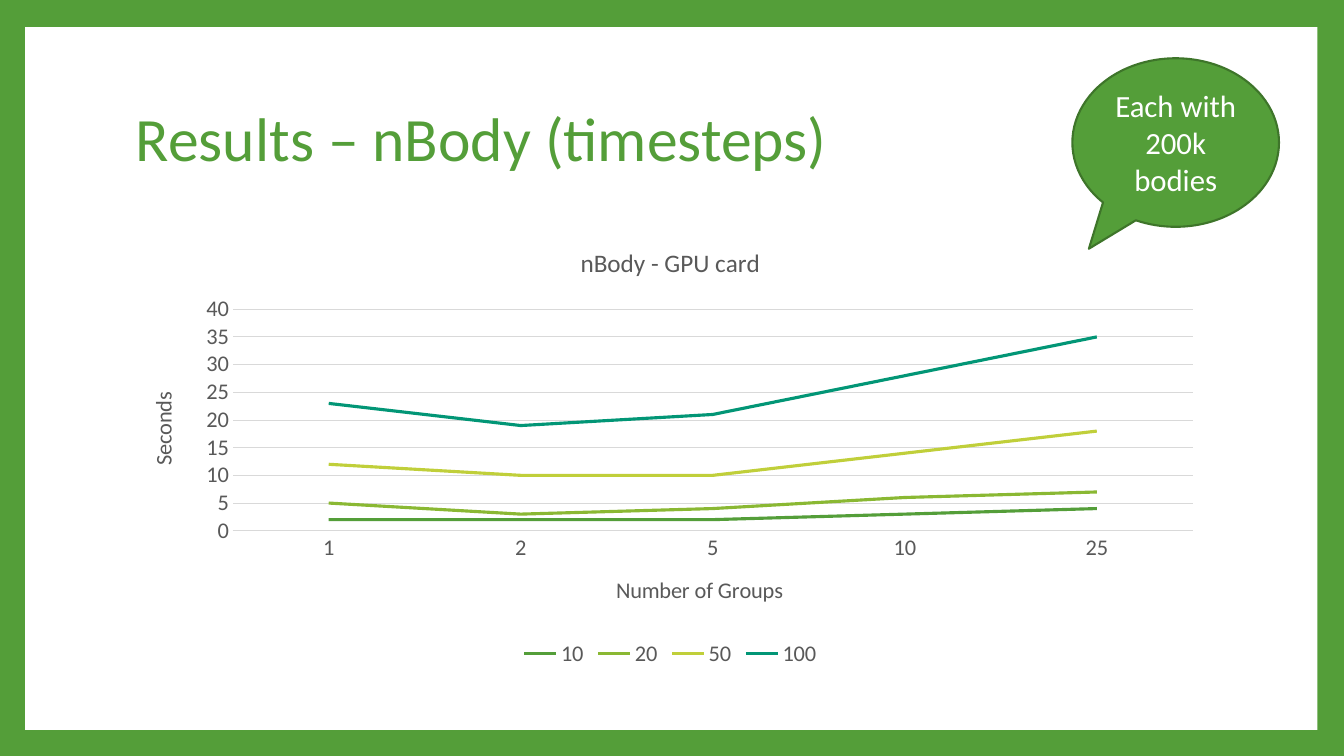
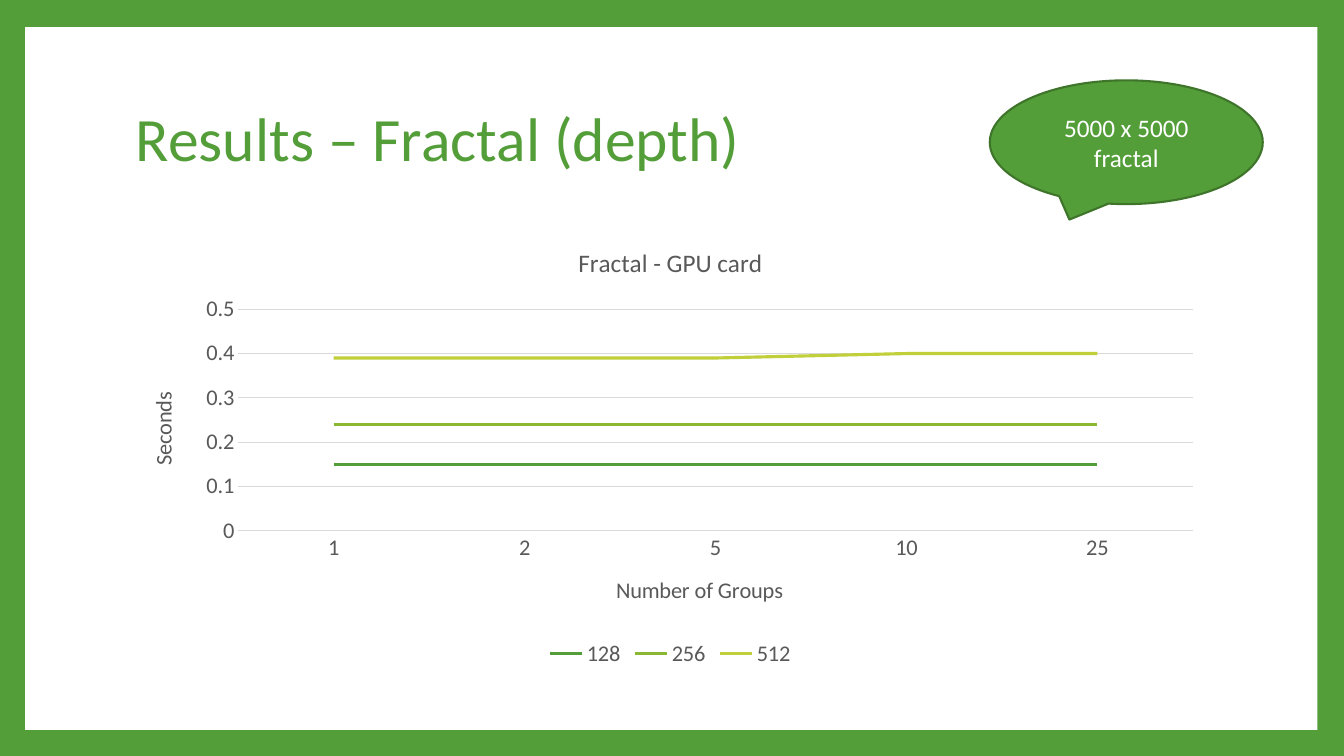
from dataclasses import dataclass
from typing import Any, Optional

from pptx import Presentation
from pptx.chart.data import CategoryChartData
from pptx.dml.color import RGBColor
from pptx.enum.chart import XL_CHART_TYPE, XL_LEGEND_POSITION, XL_TICK_MARK
from pptx.enum.shapes import MSO_SHAPE
from pptx.enum.text import MSO_ANCHOR, PP_ALIGN
from pptx.util import Pt

GREEN = "549E39"
DARK_GREEN = "3E752A"
WHITE = "FFFFFF"
GREY = "595959"
GRID = "D9D9D9"
SERIES_COLOURS = (GREEN, "8AB833", "C0CF3A", "029676")
FONT = "Calibri"
GROUPS = ("1", "2", "5", "10", "25")


@dataclass(frozen=True)
class Area:
    left: float
    top: float
    width: float
    height: float

    def lengths(self) -> tuple:
        return Pt(self.left), Pt(self.top), Pt(self.width), Pt(self.height)


@dataclass(frozen=True)
class Callout:
    text: str
    size: float
    area: Area
    tail: Optional[tuple] = None


@dataclass(frozen=True)
class Result:
    title: str
    chart_title: str
    maximum: float
    step: float
    series: dict
    callout: Callout


PANEL = Area(18, 19.4, 923, 502)
TITLE = Area(90, 48, 777.6, 106.6)
CHART = Area(90, 162, 777.6, 318)

RESULTS = (
    Result(
        "Results – nBody (timesteps)", "nBody - GPU card", 40, 5,
        {
            "10": (2, 2, 2, 3, 4),
            "20": (5, 3, 4, 6, 7),
            "50": (12, 10, 10, 14, 18),
            "100": (23, 19, 21, 28, 35),
        },
        Callout("Each with 200k bodies", 22, Area(766, 41.6, 147.6, 120.4), (-0.42, 0.63)),
    ),
    Result(
        "Results – Fractal (depth)", "Fractal - GPU card", 0.5, 0.1,
        {
            "128": (0.15, 0.15, 0.15, 0.15, 0.15),
            "256": (0.24, 0.24, 0.24, 0.24, 0.24),
            "512": (0.39, 0.39, 0.39, 0.4, 0.4),
        },
        Callout("5000 x 5000 fractal", 18, Area(707, 57.4, 195, 88.4)),
    ),
)


def colour(value: str) -> RGBColor:
    return RGBColor.from_string(value)


def apply(target: Any, values: dict) -> None:
    for name, value in values.items():
        setattr(target, name, value)


def style_font(font: Any, size: float, shade: str) -> None:
    apply(font, {"name": FONT, "size": Pt(size), "bold": False})
    font.color.rgb = colour(shade)


def style_line(line: Any, width: float, shade: str) -> None:
    line.width = Pt(width)
    line.color.rgb = colour(shade)


def write(box: Any, text: str, size: float, shade: str, layout: dict) -> None:
    apply(box.text_frame, {"word_wrap": True, "vertical_anchor": MSO_ANCHOR.MIDDLE})
    para = box.text_frame.paragraphs[0]
    apply(para, layout)
    span = para.add_run()
    span.text = text
    style_font(span.font, size, shade)


def add_filled(page: Any, kind: MSO_SHAPE, area: Area, shade: str) -> Any:
    shape = page.shapes.add_shape(kind, *area.lengths())
    shape.shadow.inherit = False
    shape.fill.solid()
    shape.fill.fore_color.rgb = colour(shade)
    shape.line.fill.background()
    return shape


def add_callout(page: Any, callout: Callout) -> None:
    bubble = add_filled(page, MSO_SHAPE.OVAL_CALLOUT, callout.area, GREEN)
    style_line(bubble.line, 1.5, DARK_GREEN)
    for index, value in enumerate(callout.tail or ()):
        bubble.adjustments[index] = value
    write(bubble, callout.text, callout.size, WHITE, {"alignment": PP_ALIGN.CENTER})


def title_chart_part(part: Any, text: str, size: float) -> None:
    part.has_title = True
    title = part.chart_title if hasattr(part, "chart_title") else part.axis_title
    span = title.text_frame.paragraphs[0].add_run()
    span.text = text
    style_font(span.font, size, GREY)


def style_axis(axis: Any, title: str) -> None:
    apply(axis, {"major_tick_mark": XL_TICK_MARK.NONE, "minor_tick_mark": XL_TICK_MARK.NONE})
    style_font(axis.tick_labels.font, 16, GREY)
    title_chart_part(axis, title, 16)


def add_line_chart(page: Any, result: Result) -> None:
    data = CategoryChartData()
    data.categories = GROUPS
    for name, values in result.series.items():
        data.add_series(name, values)
    chart = page.shapes.add_chart(XL_CHART_TYPE.LINE, *CHART.lengths(), data).chart
    style_font(chart.font, 16, GREY)
    title_chart_part(chart, result.chart_title, 18)
    chart.chart_title.include_in_layout = False

    style_axis(chart.category_axis, "Number of Groups")
    style_line(chart.category_axis.format.line, 0.75, GRID)
    seconds = chart.value_axis
    style_axis(seconds, "Seconds")
    apply(seconds, {
        "minimum_scale": 0,
        "maximum_scale": result.maximum,
        "major_unit": result.step,
        "has_major_gridlines": True,
    })
    seconds.format.line.fill.background()
    style_line(seconds.major_gridlines.format.line, 0.75, GRID)

    chart.has_legend = True
    apply(chart.legend, {"position": XL_LEGEND_POSITION.BOTTOM, "include_in_layout": False})
    style_font(chart.legend.font, 16, GREY)

    plot = chart.plots[0]
    plot.vary_by_categories = False
    for series, shade in zip(plot.series, SERIES_COLOURS):
        series.smooth = False
        style_line(series.format.line, 2.25, shade)


def add_result(deck: Any, result: Result) -> None:
    page = deck.slides.add_slide(deck.slide_layouts[6])
    add_filled(page, MSO_SHAPE.RECTANGLE, PANEL, WHITE)
    heading = page.shapes.add_textbox(*TITLE.lengths())
    write(heading, result.title, 44, GREEN, {"line_spacing": 0.9})
    add_line_chart(page, result)
    add_callout(page, result.callout)


def main() -> None:
    deck = Presentation()
    apply(deck, {"slide_width": Pt(960), "slide_height": Pt(540)})
    backdrop = deck.slide_master.background.fill
    backdrop.solid()
    backdrop.fore_color.rgb = colour(GREEN)
    for result in RESULTS:
        add_result(deck, result)
    deck.save("out.pptx")


if __name__ == "__main__":
    main()
